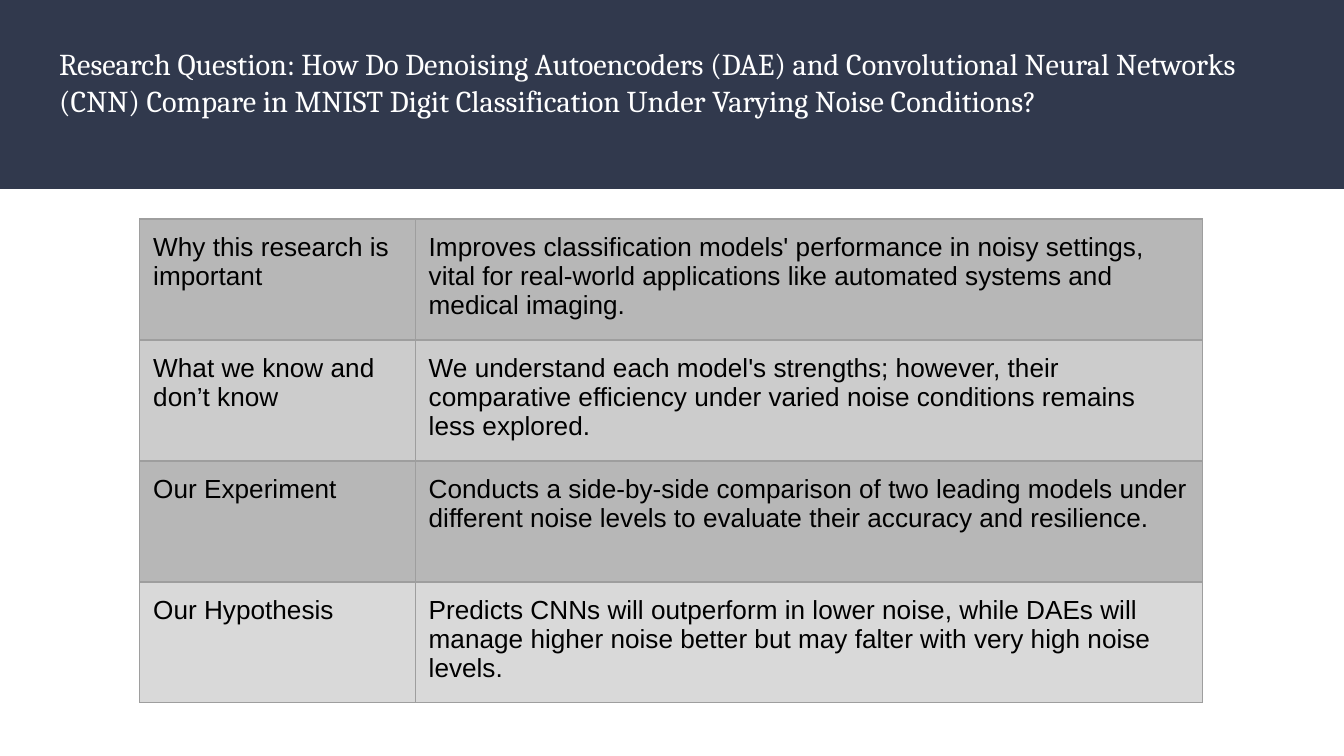
from lxml.etree import SubElement
from pptx import Presentation
from pptx.dml.color import RGBColor
from pptx.enum.shapes import MSO_SHAPE as Shape
from pptx.enum.text import MSO_ANCHOR as Anchor, MSO_AUTO_SIZE as AutoSize, PP_ALIGN as Align
from pptx.oxml.ns import qn
from pptx.util import Inches, Pt


def paint(color_format, color):
    color_format.rgb = RGBColor.from_string(color)


def style_text(holder, font_name, size, color):
    frame = holder.text_frame
    frame.word_wrap = True
    holder.vertical_anchor = frame.vertical_anchor = Anchor.TOP
    for side in ("left", "right", "top", "bottom"):
        # Cells carry their own margins, shapes keep them in the text frame
        target = holder if hasattr(holder, "margin_left") else frame
        setattr(target, f"margin_{side}", Inches(0.1))
    para = frame.paragraphs[0]
    para.alignment = Align.LEFT
    font = para.runs[0].font
    font.name, font.size = font_name, Pt(size)
    paint(font.color, color)


# Widescreen page, 16:9
deck = Presentation()
deck.slide_width = Inches(10)
deck.slide_height = deck.slide_width * 9 // 16
page = deck.slides.add_slide(deck.slide_layouts[5])
shapes = page.shapes

# Header band, a quarter of the page, placed behind the title
band = shapes.add_shape(Shape.RECTANGLE, 0, 0, deck.slide_width, deck.slide_height // 4)
band.shadow.inherit = False
band.fill.solid()
paint(band.fill.fore_color, "31394D")
band.line.fill.background()
shapes.title.element.addprevious(band.element)

# Title
title = shapes.title
title.left, title.top = Inches(0.34), Inches(0.24)
title.width, title.height = Inches(9.32), Inches(1.07)
title.text_frame.text = (
    "Research Question: How Do Denoising Autoencoders (DAE) and Convolutional Neural Networks "
    "(CNN) Compare in MNIST Digit Classification Under Varying Noise Conditions?"
)
title.text_frame.auto_size = AutoSize.NONE
style_text(title, "Cambria", 16.2, "FFFFFF")
title.text_frame.paragraphs[0].line_spacing = 1.0

# Research summary: fill, topic, statement
summary = [
    ("B7B7B7", "Why this research is important",
     "Improves classification models' performance in noisy settings, vital for real-world "
     "applications like automated systems and medical imaging."),
    ("CCCCCC", "What we know and don’t know",
     "We understand each model's strengths; however, their comparative efficiency under varied "
     "noise conditions remains less explored."),
    ("B7B7B7", "Our Experiment",
     "Conducts a side-by-side comparison of two leading models under different noise levels to "
     "evaluate their accuracy and resilience."),
    ("D9D9D9", "Our Hypothesis",
     "Predicts CNNs will outperform in lower noise, while DAEs will manage higher noise better "
     "but may falter with very high noise levels."),
]
column_widths = (2.05, 5.86)
row_height = 0.9

table = shapes.add_table(
    len(summary), len(column_widths), Inches(1.04), Inches(1.63),
    Inches(sum(column_widths)), Inches(row_height * len(summary)),
).table
table.first_row = table.horz_banding = False
for column, width in zip(table.columns, column_widths):
    column.width = Inches(width)

for row, (fill, *texts) in enumerate(summary):
    for column, text in enumerate(texts):
        cell = table.cell(row, column)
        cell.text_frame.text = text
        style_text(cell, "Arial", 14, "000000")

        # Borders come before the fill in the cell properties
        properties = cell._tc.get_or_add_tcPr()
        for edge in ("a:lnL", "a:lnR", "a:lnT", "a:lnB"):
            border = SubElement(properties, qn(edge), w=str(Pt(0.75)))
            solid = SubElement(border, qn("a:solidFill"))
            SubElement(solid, qn("a:srgbClr"), val="9E9E9E")
        cell.fill.solid()
        paint(cell.fill.fore_color, fill)

deck.save("out.pptx")
